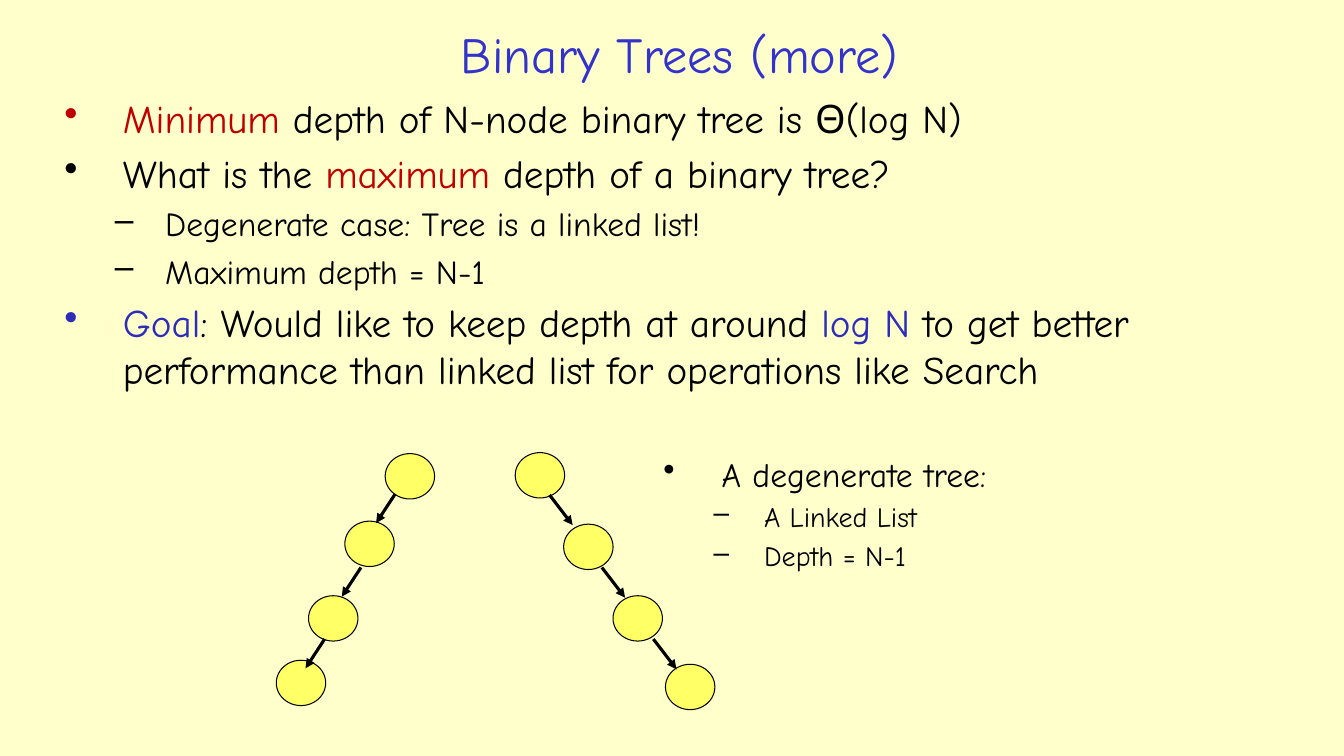
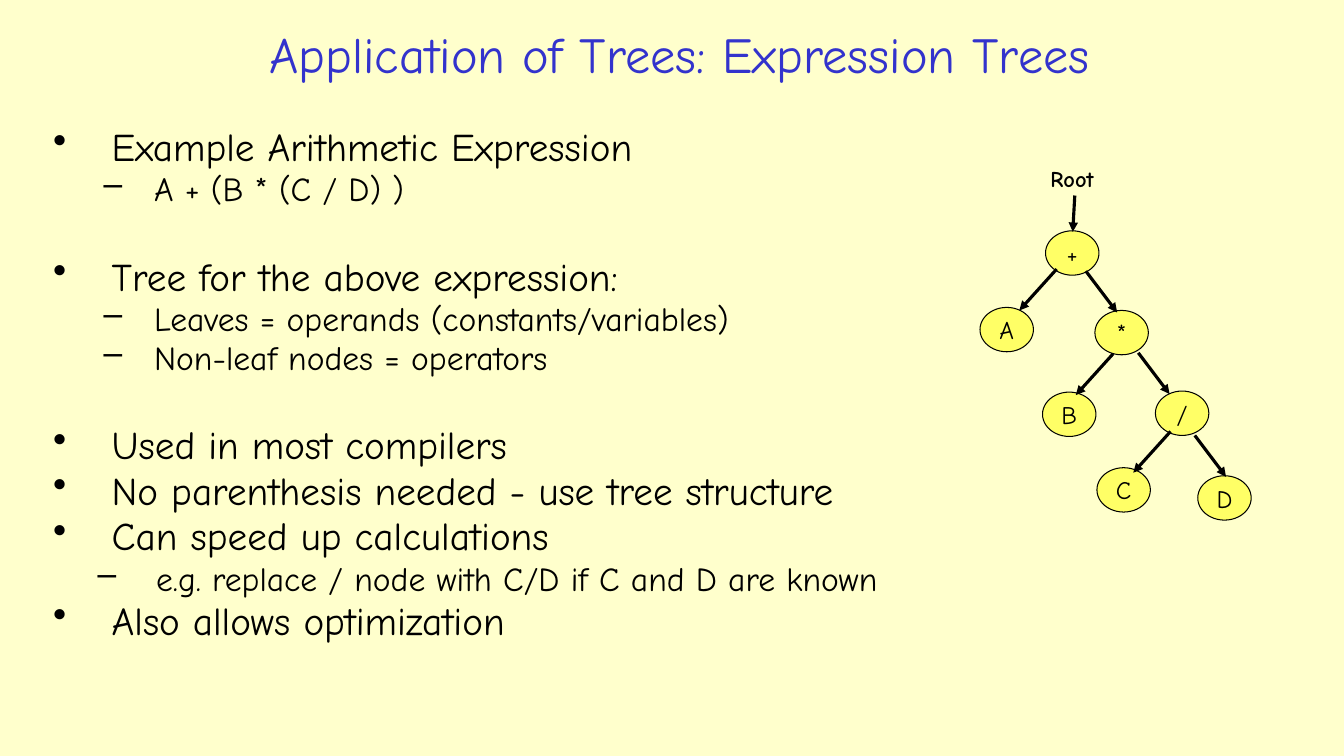
from lxml.etree import SubElement
from pptx import Presentation
from pptx.dml.color import RGBColor
from pptx.enum.shapes import MSO_CONNECTOR, MSO_SHAPE
from pptx.enum.text import MSO_ANCHOR, PP_ALIGN
from pptx.oxml.ns import qn
from pptx.util import Inches, Pt

CREAM = RGBColor(0xFF, 0xFF, 0xCC)
YELLOW = RGBColor(0xFF, 0xFF, 0x66)
BLACK = RGBColor(0, 0, 0)
TITLE_BLUE = RGBColor(0x33, 0x33, 0xCC)
GOAL_BLUE = RGBColor(0x2D, 0x2D, 0xB9)
RED = RGBColor(0xC0, 0, 0)

FONT = "Comic Neue"
TITLE_FORMAT = {"name": FONT, "size": Pt(36), "bold": False}
NODE_FORMAT = {"name": FONT, "size": Pt(18), "bold": False}
ROOT_FORMAT = {"name": FONT, "size": Pt(16), "bold": True}
BULLETS = ("•", "–")
INDENTS = ((0.58, -0.58), (1, -0.5))
WIDE_INDENT = (1.02, -0.58)
BLANK_LINE = 32.5

DEPTH_POINTS = [
    (0, [("Minimum", RED), (" depth of N-node binary tree is Θ(log N)", BLACK)]),
    (0, [("What is the ", BLACK), ("maximum", RED), (" depth of a binary tree?", BLACK)]),
    (1, [("Degenerate case: Tree is a linked list!", BLACK)]),
    (1, [("Maximum depth = N-1", BLACK)]),
    (0, [
        ("Goal", GOAL_BLUE),
        (": Would like to keep depth at around ", BLACK),
        ("log N", GOAL_BLUE),
        (" to get better performance than linked list for operations like Search", BLACK),
    ]),
]
DEGENERATE_POINTS = [
    (0, [("A degenerate tree:", BLACK)]),
    (1, [("A Linked List", BLACK)]),
    (1, [("Depth = N-1", BLACK)]),
]
EXPRESSION_POINTS = [
    (0, [("Example Arithmetic Expression", BLACK)]),
    (1, [("A + (B * (C / D) )", BLACK)]),
    (0, [("Tree for the above expression:", BLACK)], {"gap": BLANK_LINE}),
    (1, [("Leaves = operands (constants/variables)", BLACK)]),
    (1, [("Non-leaf nodes = operators", BLACK)]),
    (0, [("Used in most compilers", BLACK)], {"gap": BLANK_LINE}),
    (0, [("No parenthesis needed - use tree structure", BLACK)]),
    (0, [("Can speed up calculations", BLACK)]),
    (1, [("e.g. replace / node with C/D if C and D are known", BLACK)], {"indent": WIDE_INDENT}),
    (0, [("Also allows optimization", BLACK)]),
]

LEFT_CHAIN = {
    "nodes": [("", 1.08, 0), ("", 0.68, 0.67), ("", 0.32, 1.41), ("", 0, 2.05)],
    "arrows": [((-0.19, 0.29), [(1.18, 0.4), (0.84, 1.13), (0.48, 1.84)])],
}
RIGHT_CHAIN = {
    "nodes": [("", 0, 0), ("", 0.48, 0.71), ("", 0.97, 1.42), ("", 1.49, 2.1)],
    "arrows": [((0.23, 0.3), [(0.34, 0.42), (0.86, 1.14), (1.37, 1.85)])],
}
EXPRESSION_TREE = {
    "nodes": [
        ("+", 0.65, 0), ("A", 0, 0.76), ("*", 1.14, 0.79), ("B", 0.62, 1.6),
        ("/", 1.74, 1.59), ("C", 1.16, 2.35), ("D", 2.16, 2.43),
    ],
    "arrows": [
        ((-0.37, 0.41), [(0.76, 0.38), (1.32, 1.22), (1.89, 1.99)]),
        ((0.31, 0.41), [(1.05, 0.4), (1.57, 1.21), (2.13, 2.03)]),
        ((-0.02, 0.36), [(0.94, -0.35)]),
    ],
}


def format_span(span, color, values):
    for name, value in values.items():
        setattr(span.font, name, value)
    span.font.color.rgb = color


def add_page(deck, title):
    page = deck.slides.add_slide(deck.slide_layouts[5])
    box = page.shapes.title
    place = {"left": 1.97, "top": 0.15, "width": 9.54, "height": 0.76}
    for name, value in place.items():
        setattr(box, name, Inches(value))
    box.text_frame.vertical_anchor = MSO_ANCHOR.MIDDLE
    para = box.text_frame.paragraphs[0]
    para.alignment = PP_ALIGN.CENTER
    span = para.add_run()
    span.text = title
    format_span(span, TITLE_BLUE, TITLE_FORMAT)
    return page


def set_bullet(para, level, indent):
    properties = para._p.get_or_add_pPr()
    margin, hanging = indent
    properties.set("marL", str(Inches(margin)))
    properties.set("indent", str(Inches(hanging)))
    SubElement(properties, qn("a:buChar")).set("char", BULLETS[level])


def add_bullets(page, place, points, sizes, line_spacing=1.0):
    box = page.shapes.add_textbox(*map(Inches, place))
    frame = box.text_frame
    frame.word_wrap = True
    for number, (level, pieces, *extra) in enumerate(points):
        options = extra[0] if extra else {}
        para = frame.add_paragraph() if number else frame.paragraphs[0]
        set_bullet(para, level, options.get("indent", INDENTS[level]))
        size = sizes[level]
        para.level = level
        para.line_spacing = line_spacing
        para.space_before = Pt(0.2 * size + options.get("gap", 0) if number else 0)
        for text, color in pieces:
            span = para.add_run()
            span.text = text
            format_span(span, color, {"name": FONT, "size": Pt(size)})


def add_node(page, place, label):
    node = page.shapes.add_shape(MSO_SHAPE.OVAL, *map(Inches, place))
    node.shadow.inherit = False
    node.fill.solid()
    node.fill.fore_color.rgb = YELLOW
    node.line.color.rgb = BLACK
    node.line.width = Pt(0.75)
    if label:
        frame = node.text_frame
        frame.word_wrap = False
        frame.vertical_anchor = MSO_ANCHOR.MIDDLE
        para = frame.paragraphs[0]
        para.alignment = PP_ALIGN.CENTER
        span = para.add_run()
        span.text = label
        format_span(span, BLACK, NODE_FORMAT)


def add_arrow(page, left, top, across, down):
    ends = map(Inches, (left, top, left + across, top + down))
    arrow = page.shapes.add_connector(MSO_CONNECTOR.STRAIGHT, *ends)
    arrow.line.color.rgb = BLACK
    arrow.line.width = Pt(2.25)
    SubElement(arrow.line._get_or_add_ln(), qn("a:tailEnd")).set("type", "triangle")
    SubElement(arrow._element.spPr, qn("a:effectLst"))


def add_tree(page, left, top, tree, node_size):
    for label, across, down in tree["nodes"]:
        add_node(page, (left + across, top + down, *node_size), label)
    for direction, starts in tree["arrows"]:
        for across, down in starts:
            add_arrow(page, left + across, top + down, *direction)


def add_root_label(page, place):
    box = page.shapes.add_textbox(*map(Inches, place))
    box.text_frame.word_wrap = False
    span = box.text_frame.paragraphs[0].add_run()
    span.text = "Root"
    format_span(span, BLACK, ROOT_FORMAT)


def build_depth_page(deck):
    page = add_page(deck, "Binary Trees (more)")
    add_bullets(page, (0.54, 0.89, 12.32, 3.25), DEPTH_POINTS, (28, 24))
    add_tree(page, 5.11, 4.49, RIGHT_CHAIN, (0.49, 0.45))
    add_bullets(page, (6.48, 4.45, 3.99, 1.28), DEGENERATE_POINTS, (24, 20))
    add_tree(page, 2.74, 4.5, LEFT_CHAIN, (0.49, 0.45))


def build_expression_page(deck):
    page = add_page(deck, "Application of Trees: Expression Trees")
    add_bullets(page, (0.43, 1.25, 12.2, 5.83), EXPRESSION_POINTS, (28, 24), 0.8)
    add_tree(page, 9.72, 2.29, EXPRESSION_TREE, (0.53, 0.44))
    add_root_label(page, (10.32, 1.59, 0.69, 0.37))


def main():
    deck = Presentation()
    deck.slide_width = Inches(13.33)
    deck.slide_height = Inches(7.5)
    background = deck.slide_master.background.fill
    background.solid()
    background.fore_color.rgb = CREAM
    build_depth_page(deck)
    build_expression_page(deck)
    deck.save("out.pptx")


if __name__ == "__main__":
    main()
